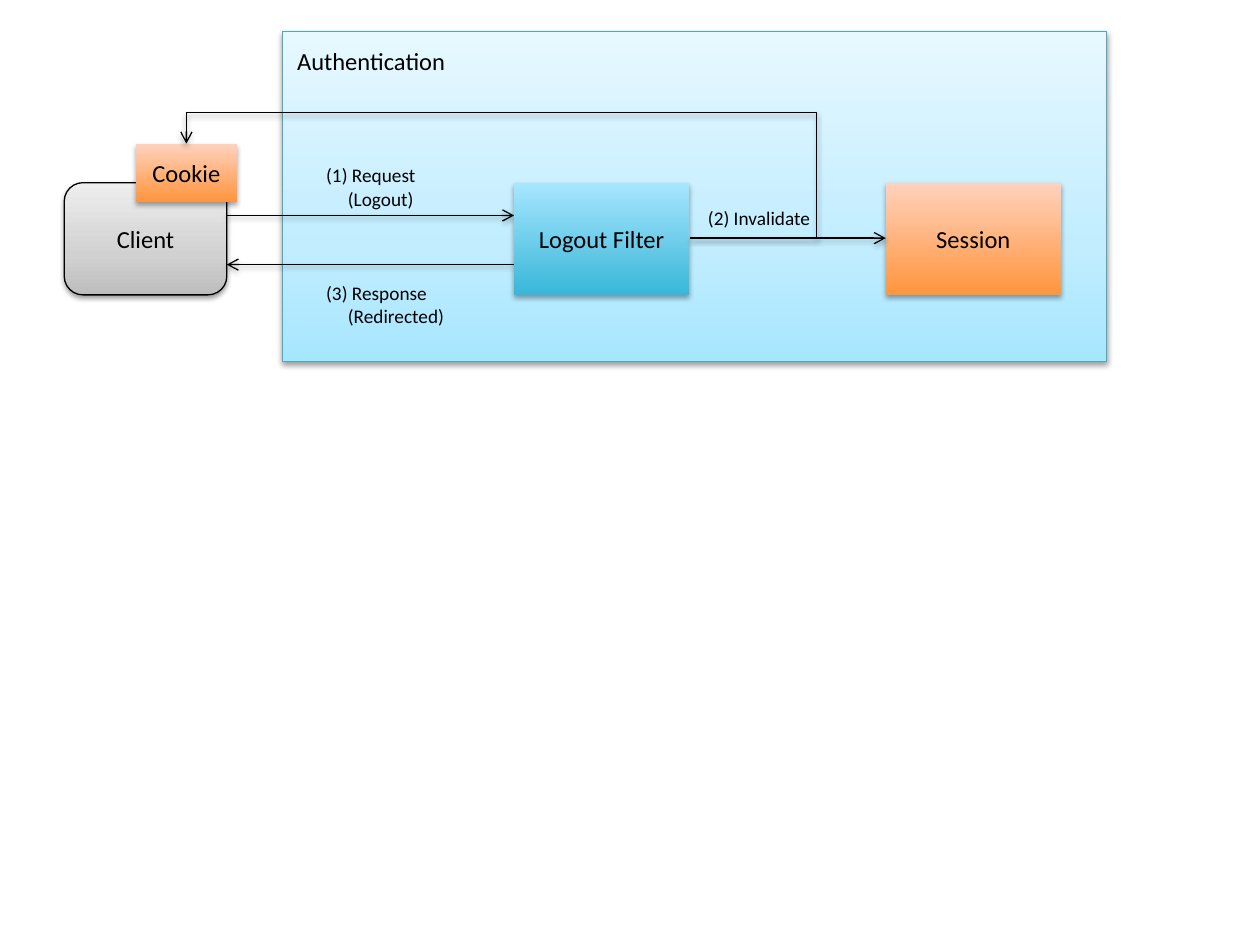
from lxml.etree import SubElement
from pptx import Presentation
from pptx.dml.color import RGBColor
from pptx.enum.shapes import MSO_CONNECTOR, MSO_SHAPE
from pptx.enum.text import MSO_ANCHOR, PP_ALIGN
from pptx.oxml.ns import qn
from pptx.util import Inches, Pt

COLOURS = {"ink": "000000", "panel_line": "46AAC5"}
GRADIENTS = {
    "grey": [(0, "BDBDBD"), (35, "D1D1D1"), (100, "EEEEEE")],
    "panel": [(0, "A7E6FF"), (35, "C1EDFF"), (100, "E7F8FF")],
    "orange": [(0, "FF953E"), (100, "FFD2BD")],
    "blue": [(0, "39B7D8"), (100, "A7E6FF")],
}
COLUMNS, ROWS = 100, 75
BOX_TOP, BOX_HEIGHT, BOX_WIDTH = 14.5, 8.9, 13.9
CLIENT_RIGHT, FILTER_LEFT, FILTER_RIGHT, SESSION_LEFT = 18, 40.8, 54.8, 70.3
MIDDLE = 18.9


def write(para, text, size=14, font="Calibri", colour="ink", align=PP_ALIGN.LEFT, indent=0):
    para.alignment = align
    if indent:
        para._p.get_or_add_pPr().set("marL", str(Pt(indent)))
    span = para.add_run()
    span.text = text
    span.font.size = Pt(size)
    span.font.name = font
    span.font.color.rgb = RGBColor.from_string(COLOURS[colour])


class Diagram:
    def __init__(self, deck, page):
        self.page = page
        self.column = deck.slide_width / COLUMNS
        self.row = deck.slide_height / ROWS

    def place(self, *cells):
        units = (self.column, self.row) * 2
        return [round(cell * unit) for cell, unit in zip(cells, units)]

    def stroke(self, item, colour="ink"):
        item.line.color.rgb = RGBColor.from_string(COLOURS[colour])
        item.line.width = Pt(0.75)

    def shade(self, item, distance=1.6, opacity=38):
        effects = SubElement(item._element.spPr, qn("a:effectLst"))
        shadow = SubElement(effects, qn("a:outerShdw"), blurRad=str(Pt(3.1)),
                            dist=str(Pt(distance)), dir="5400000", rotWithShape="0")
        tone = SubElement(shadow, qn("a:srgbClr"), val=COLOURS["ink"])
        SubElement(tone, qn("a:alpha"), val=str(opacity * 1000))

    def box(self, cells, gradient, text="", line=None, kind=MSO_SHAPE.RECTANGLE):
        box = self.page.shapes.add_shape(kind, *self.place(*cells))
        box.fill.gradient()
        box.fill.gradient_angle = 90
        stops = box._element.spPr.find(qn("a:gradFill")).find(qn("a:gsLst"))
        for stop in list(stops):
            stops.remove(stop)
        for position, colour in GRADIENTS[gradient]:
            stop = SubElement(stops, qn("a:gs"), pos=str(position * 1000))
            SubElement(stop, qn("a:srgbClr"), val=colour)
        if line:
            self.stroke(box, line)
            self.shade(box)
        else:
            box.line.fill.background()
            self.shade(box, distance=1.8, opacity=35)
        if text:
            box.text_frame.vertical_anchor = MSO_ANCHOR.MIDDLE
            box.text_frame.margin_left = box.text_frame.margin_right = Inches(0.05)
            write(box.text_frame.paragraphs[0], text, align=PP_ALIGN.CENTER)

    def label(self, cells, first, second="", size=11):
        frame = self.page.shapes.add_textbox(*self.place(*cells)).text_frame
        frame.word_wrap = True
        write(frame.paragraphs[0], first, size=size)
        if second:
            write(frame.add_paragraph(), second, size=size, indent=12.4)

    def arrow(self, start, end, bends=None):
        kind = MSO_CONNECTOR.ELBOW if bends else MSO_CONNECTOR.STRAIGHT
        arrow = self.page.shapes.add_connector(kind, *self.place(*start, *end))
        if bends:
            geometry = arrow._element.spPr.find(qn("a:prstGeom"))
            geometry.set("prst", "bentConnector4")
            guides = geometry.find(qn("a:avLst"))
            for number, share in enumerate(bends, 1):
                SubElement(guides, qn("a:gd"), name=f"adj{number}",
                           fmla=f"val {round(share * 100000)}")
        self.stroke(arrow)
        SubElement(arrow.line._get_or_add_ln(), qn("a:tailEnd"), type="arrow")
        self.shade(arrow)


def main():
    deck = Presentation()
    deck.slide_width, deck.slide_height = Inches(10), Inches(7.5)
    diagram = Diagram(deck, deck.slides.add_slide(deck.slide_layouts[6]))

    diagram.box((5.1, BOX_TOP, 12.9, BOX_HEIGHT), "grey", "Client", "ink",
                MSO_SHAPE.ROUNDED_RECTANGLE)
    diagram.box((22.4, 2.5, 65.4, 26.2), "panel", line="panel_line")
    diagram.label((22.6, 3.2, 40.3, 3.4), "Authentication", size=14)
    diagram.box((SESSION_LEFT, BOX_TOP, BOX_WIDTH, BOX_HEIGHT), "orange", "Session")
    diagram.arrow((CLIENT_RIGHT, 17.1), (FILTER_LEFT, 17.1))
    diagram.arrow((FILTER_LEFT, 21), (CLIENT_RIGHT, 21))
    diagram.box((FILTER_LEFT, BOX_TOP, BOX_WIDTH, BOX_HEIGHT), "blue", "Logout Filter")
    diagram.label((24.9, 12.5, 12.9, 4.7), "(1) Request", "(Logout)")
    diagram.label((24.9, 21.8, 12.9, 4.7), "(3) Response", "(Redirected)")
    diagram.arrow((FILTER_RIGHT, MIDDLE), (SESSION_LEFT, MIDDLE))
    diagram.label((55.2, 15.9, 12.9, 2.9), "(2) Invalidate")
    diagram.box((10.8, 11.4, 8, 4.6), "orange", "Cookie")
    diagram.arrow((FILTER_RIGHT, MIDDLE), (14.8, 11.4), bends=(-0.25, 1.33))

    deck.save("out.pptx")


if __name__ == "__main__":
    main()
